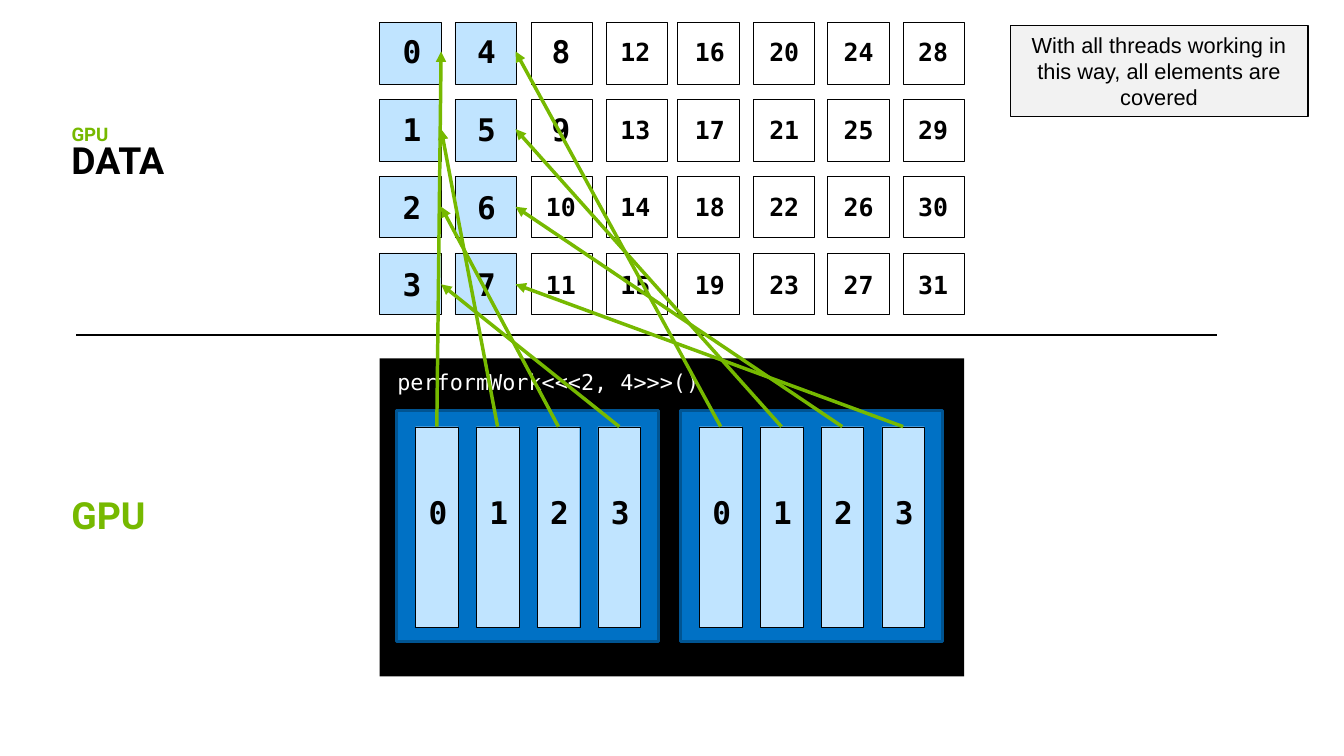
"""Build a slide mapping GPU threads in two blocks to data elements."""
from lxml.etree import SubElement
from pptx import Presentation
from pptx.dml.color import RGBColor
from pptx.enum.shapes import MSO_CONNECTOR, MSO_SHAPE
from pptx.enum.text import MSO_ANCHOR, PP_ALIGN
from pptx.oxml.ns import qn
from pptx.util import Pt

COLORS = {"black": "000000", "white": "FFFFFF", "green": "76B900", "block": "0071C5",
          "block_edge": "005492", "active": "C0E4FF", "note": "F2F2F2"}
MONO = "DejaVu Sans Mono"

KERNEL_CALL = "performWork<<<2, 4>>>()"
NOTE = "With all threads working in this way, all elements are covered"
HEADINGS = [
    ("GPU", 24, "green", (38.9, 316.1, 69.8, 33.1)),
    ("DATA", 24, "black", (38.9, 87.8, 79.2, 33.1)),
    ("GPU", 12, "green", (38.9, 77, 39.6, 20.2)),
]
BLOCKS, THREADS = 2, 4
ROWS, COLUMNS = 4, 8

CELL, CELL_TOP, CELL_PITCH = 39.6, 14.4, 49.4
CELL_PAIR_LEFTS, CELL_PAIR_PITCH = (244.1, 341.3, 435.6, 532.1), 48.3
NUMBER_LEFT, NUMBER_WIDTH, NUMBER_PITCH = 246.2, 37.4, 47.85
NUMBER_MIDDLE, NUMBER_ROW_PITCH = 33.1, 49.9
BLOCK_LEFT, BLOCK_PITCH = 254.9, 182.5
BAR_LEFT, BAR_PITCH = 267.1, 39.1
THREAD_MIDDLE = 329

presentation = Presentation()
presentation.slide_width, presentation.slide_height = Pt(864), Pt(486)
slide = presentation.slides.add_slide(presentation.slide_layouts[6])


def rgb(name):
    return RGBColor.from_string(COLORS[name])


def add_box(bounds, fill, edge=None, weight=0.25):
    box = slide.shapes.add_shape(MSO_SHAPE.RECTANGLE, *map(Pt, bounds))
    box.shadow.inherit = False
    box.fill.solid()
    box.fill.fore_color.rgb = rgb(fill)
    if edge:
        box.line.color.rgb = rgb(edge)
        box.line.width = Pt(weight)
    else:
        box.line.fill.background()
    return box


def write(shape, text, size, color, font, bold=False, align=PP_ALIGN.LEFT,
          anchor=MSO_ANCHOR.MIDDLE):
    frame = shape.text_frame
    frame.word_wrap = True
    frame.vertical_anchor = anchor
    frame.text = text
    paragraph = frame.paragraphs[0]
    paragraph.alignment = align
    style = paragraph.runs[0].font
    style.name, style.size, style.bold = font, Pt(size), bold
    style.color.rgb = rgb(color)
    return paragraph


def add_number(value, left, middle):
    size, height = (20, 31.6) if value < 10 else (16, 26.6)
    number = slide.shapes.add_textbox(
        Pt(left), Pt(middle - height / 2), Pt(NUMBER_WIDTH), Pt(height))
    write(number, str(value), size, "black", MONO, True, PP_ALIGN.CENTER)
    return number


def add_line(start, end, color, weight):
    line = slide.shapes.add_connector(MSO_CONNECTOR.STRAIGHT, *map(Pt, start + end))
    line.line.color.rgb = rgb(color)
    line.line.width = Pt(weight)
    SubElement(line._element.spPr, qn("a:effectLst"))
    return line


def add_arrow(source, target):
    arrow = add_line((0, 0), (0, 0), "green", 2.25)
    arrow.begin_connect(source, 0)
    arrow.end_connect(target, 3)
    tail = SubElement(arrow.line._get_or_add_ln(), qn("a:tailEnd"))
    tail.set("type", "triangle")


add_box((244.1, 230.4, 375.8, 204.5), "black")
write(add_box((248.4, 236.2, 220.3, 18), "black"), KERNEL_CALL, 14, "white", MONO)

for block in range(BLOCKS):
    add_box((BLOCK_LEFT + block * BLOCK_PITCH, 264.2, 168.5, 148.3),
            "block", "block_edge", 2)

thread_lefts = [BAR_LEFT + block * BLOCK_PITCH + thread * BAR_PITCH
                for block in range(BLOCKS) for thread in range(THREADS)]
bars = [add_box((left, 274.3, 27.4, 128.9), "active", "black") for left in thread_lefts]

for column in range(COLUMNS):
    left = CELL_PAIR_LEFTS[column // 2] + column % 2 * CELL_PAIR_PITCH
    for row in range(ROWS):
        add_box((left, CELL_TOP + row * CELL_PITCH, CELL, CELL),
                "active" if column < BLOCKS else "white", "black")

add_line((49, 215.3), (782.6, 215.3), "black", 1.5)

for text, size, color, bounds in HEADINGS:
    heading = slide.shapes.add_textbox(*map(Pt, bounds))
    write(heading, text, size, color, "Roboto", True,
          anchor=MSO_ANCHOR.BOTTOM).line_spacing = 0.9

for index, left in enumerate(thread_lefts):
    add_number(index % THREADS, left - 4.3, THREAD_MIDDLE)

elements = [add_number(column * ROWS + row, NUMBER_LEFT + column * NUMBER_PITCH,
                       NUMBER_MIDDLE + row * NUMBER_ROW_PITCH)
            for column in range(COLUMNS) for row in range(ROWS)]

for bar, element in zip(bars, elements):
    add_arrow(bar, element)

write(add_box((649.4, 16.6, 191.5, 58.3), "note", "black", 0.75),
      NOTE, 14, "black", "Arial", align=PP_ALIGN.CENTER, anchor=MSO_ANCHOR.TOP)

presentation.save("out.pptx")
